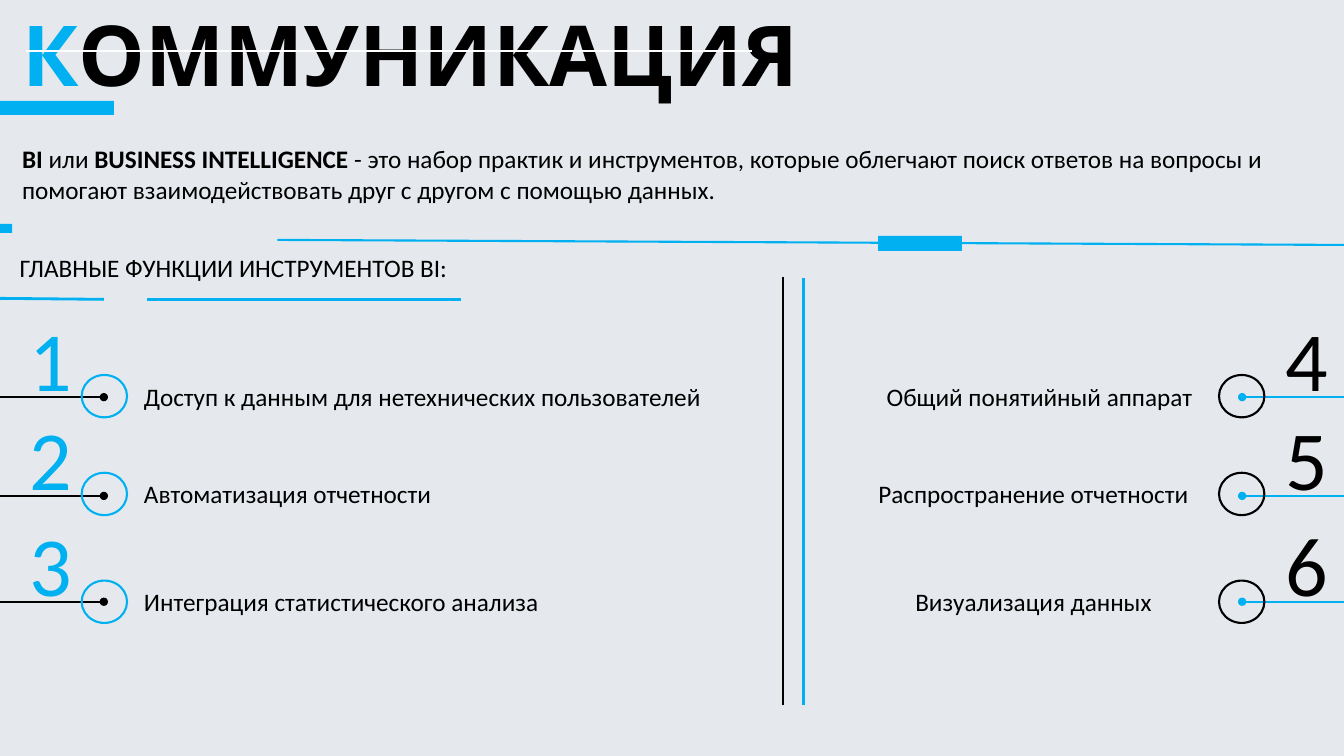
"""Build the communication slide about BI tool functions."""
from lxml.etree import SubElement
from pptx import Presentation
from pptx.dml.color import RGBColor
from pptx.enum.shapes import MSO_CONNECTOR, MSO_SHAPE
from pptx.enum.text import MSO_ANCHOR, PP_ALIGN
from pptx.oxml.ns import qn
from pptx.util import Inches, Pt

THEME = {
    "blue": "00B0F0", "black": "000000", "white": "FFFFFF", "haze": "ADB9C9",
    "haze_alpha": 31, "body_font": "Calibri", "title_font": "League Spartan",
    "body_size": 18, "display_size": 60, "thin": 1.5, "thick": 2,
}
WIDTH, HEIGHT = 13.33, 7.5

TITLE = [("К", {"bold": True, "color": "blue"}), ("ОММУНИКАЦИЯ", {"bold": True})]
DEFINITION = [
    ("BI ", {"bold": True}),
    ("или", {}),
    (" BUSINESS INTELLIGENCE ", {"bold": True}),
    ("- это набор практик и инструментов, которые облегчают поиск ответов на вопросы "
     "и помогают взаимодействовать друг с другом с помощью данных.", {}),
]
HEADING = [("ГЛАВНЫЕ ФУНКЦИИ ИНСТРУМЕНТОВ BI:", {})]

ROWS = [
    (3.94, 3.72, "Доступ к данным для нетехнических пользователей", "Общий понятийный аппарат", 10.31),
    (4.92, 4.69, "Автоматизация отчетности", "Распространение отчетности", 10.25),
    (5.97, 5.76, "Интеграция статистического анализа", "Визуализация данных", 10.25),
]
BARS = [(0, 1, 1.13, 0.14), (0, 2.22, 0.12, 0.09), (8.71, 2.34, 0.83, 0.15)]
RULES = [
    ((0.26, 0.51), (7.46, 0.51), "white", "thin"),
    ((2.75, 2.38), (WIDTH, 2.43), "blue", "thin"),
    ((1.46, 2.97), (4.57, 2.97), "blue", "thick"),
    ((0, 2.96), (1.03, 2.97), "blue", "thick"),
    ((7.77, 6.99), (7.77, 2.75), "black", "thin"),
    ((7.97, 6.99), (7.97, 2.76), "blue", "thin"),
]

LABEL_HEIGHT, LABEL_LEFT = 0.53, 1.33
LEFT_LABEL_WIDTH, RIGHT_LABEL_WIDTH = 6.23, 3.7
CIRCLE_WIDTH, CIRCLE_HEIGHT = 0.45, 0.42
DIGIT_WIDTH, DIGIT_HEIGHT, DIGIT_RISE = 0.44, 1.02, 0.39
SIDES = [
    {"circle": 0.81, "digit": 0.28, "dot": 1.03, "edge": 0, "accent": "blue", "line": "black"},
    {"circle": 12.09, "digit": 12.74, "dot": 12.32, "edge": WIDTH, "accent": "black", "line": "blue"},
]


def rgb(name):
    return RGBColor.from_string(THEME[name])


def add_shape(slide, kind, box, fill=None, line=None):
    shape = slide.shapes.add_shape(kind, *map(Inches, box))
    shape.shadow.inherit = False
    if fill:
        shape.fill.solid()
        shape.fill.fore_color.rgb = rgb(fill)
    else:
        shape.fill.background()
    if line:
        shape.line.color.rgb = rgb(line)
        shape.line.width = Pt(THEME["thin"])
    else:
        shape.line.fill.background()
    return shape


def add_haze(slide):
    shape = add_shape(slide, MSO_SHAPE.RECTANGLE, (0, 0, WIDTH, HEIGHT), "haze")
    color = next(shape.element.iter(qn("a:srgbClr")))
    SubElement(color, qn("a:alpha"), val=str(THEME["haze_alpha"] * 1000))


def add_line(slide, start, end, color, weight="thin", dotted_end=False):
    connector = slide.shapes.add_connector(MSO_CONNECTOR.STRAIGHT, *map(Inches, start + end))
    connector.line.color.rgb = rgb(color)
    connector.line.width = Pt(THEME[weight])
    if dotted_end:
        SubElement(connector.line._get_or_add_ln(), qn("a:tailEnd"), type="oval")
    SubElement(connector.element.spPr, qn("a:effectLst"))


def add_text(slide, box, runs, font="body_font", size="body_size",
             align=PP_ALIGN.LEFT, spacing=None, inset=0.1):
    frame = slide.shapes.add_textbox(*map(Inches, box)).text_frame
    settings = {"word_wrap": True, "vertical_anchor": MSO_ANCHOR.MIDDLE,
                "margin_left": Inches(inset), "margin_right": Inches(inset)}
    if not inset:
        settings.update(margin_top=0, margin_bottom=0)
    for name, value in settings.items():
        setattr(frame, name, value)
    paragraph = frame.paragraphs[0]
    paragraph.alignment = align
    if spacing:
        paragraph.line_spacing = spacing
    for text, style in runs:
        run = paragraph.add_run()
        run.text = text
        values = {"name": THEME[font], "size": Pt(THEME[size]), "bold": style.get("bold", False)}
        for name, value in values.items():
            setattr(run.font, name, value)
        run.font.color.rgb = rgb(style.get("color", "black"))


def add_function(slide, side, number, line_y, circle_top):
    add_line(slide, (side["edge"], line_y), (side["dot"], line_y), side["line"], dotted_end=True)
    add_shape(slide, MSO_SHAPE.OVAL,
              (side["circle"], circle_top, CIRCLE_WIDTH, CIRCLE_HEIGHT), line=side["accent"])
    digit_top = line_y - DIGIT_RISE - DIGIT_HEIGHT / 2
    add_text(slide, (side["digit"], digit_top, DIGIT_WIDTH, DIGIT_HEIGHT),
             [(str(number), {"color": side["accent"]})],
             size="display_size", align=PP_ALIGN.CENTER, inset=0)


def main():
    presentation = Presentation()
    presentation.slide_width, presentation.slide_height = Inches(WIDTH), Inches(HEIGHT)
    slide = presentation.slides.add_slide(presentation.slide_layouts[6])
    add_haze(slide)
    add_text(slide, (0.12, 0.16, 13.08, 0.85), TITLE, "title_font", "display_size", spacing=0.9)
    add_text(slide, (0.12, 1.46, 13.08, 0.53), DEFINITION)
    add_text(slide, (0.06, 2.39, 4.51, 0.53), HEADING, align=PP_ALIGN.CENTER)
    for rule in RULES:
        add_line(slide, *rule)
    for bar in BARS:
        add_shape(slide, MSO_SHAPE.RECTANGLE, bar, "blue")

    for index, (line_y, circle_top, left_label, right_label, right_center) in enumerate(ROWS):
        label_top = circle_top + (CIRCLE_HEIGHT - LABEL_HEIGHT) / 2
        add_text(slide, (LABEL_LEFT, label_top, LEFT_LABEL_WIDTH, LABEL_HEIGHT), [(left_label, {})])
        right_left = right_center - RIGHT_LABEL_WIDTH / 2
        add_text(slide, (right_left, label_top, RIGHT_LABEL_WIDTH, LABEL_HEIGHT),
                 [(right_label, {})], align=PP_ALIGN.CENTER)
        for column, side in enumerate(SIDES):
            number = column * len(ROWS) + index + 1
            add_function(slide, side, number, line_y, circle_top)
    presentation.save("out.pptx")


if __name__ == "__main__":
    main()
